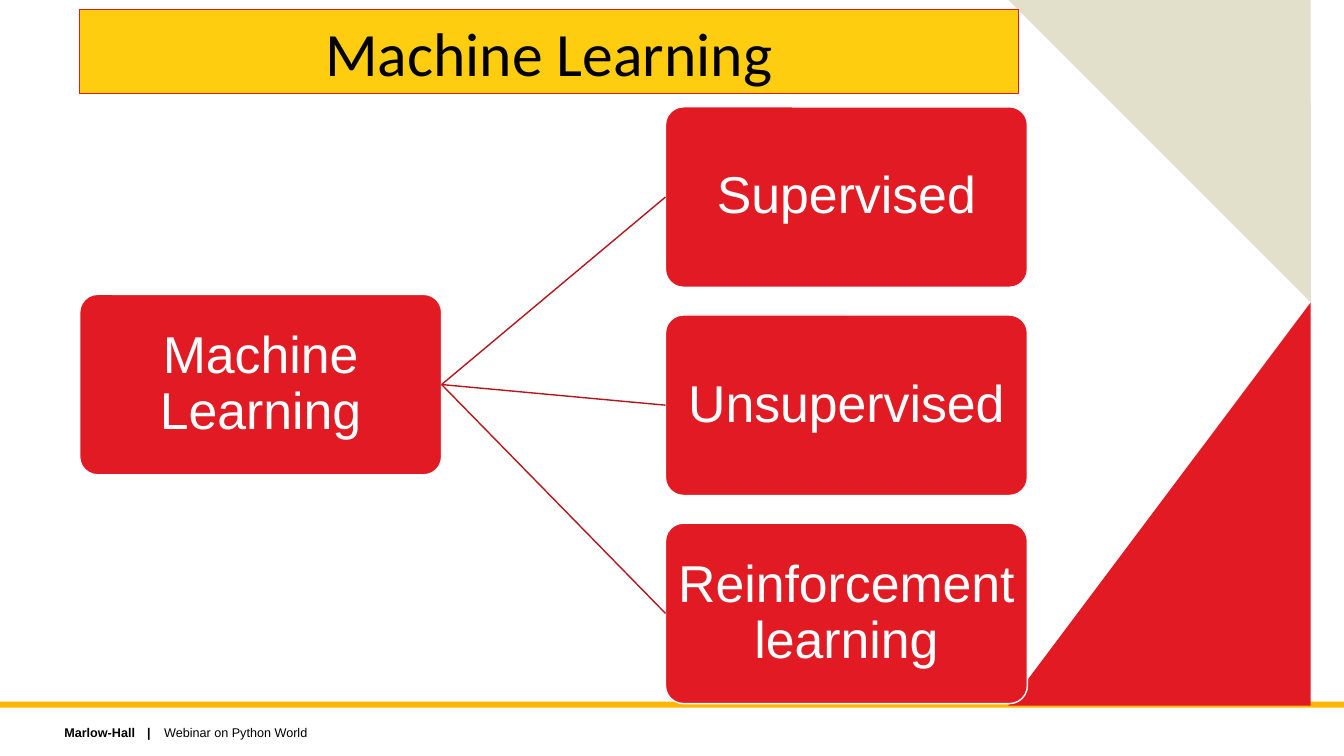
from lxml.etree import SubElement
from pptx import Presentation
from pptx.dml.color import RGBColor
from pptx.enum.shapes import MSO_CONNECTOR, MSO_SHAPE
from pptx.enum.text import MSO_ANCHOR, PP_ALIGN
from pptx.oxml.ns import qn
from pptx.util import Inches, Pt

COLORS = {
    "red": "E21A23", "dark_red": "B5151C", "wine": "9F2241", "sand": "E2DFCA",
    "amber": "FFB600", "yellow": "FFCD0F", "white": "FFFFFF", "black": "000000",
}
WIDTH, HEIGHT = 13.33, 7.5
MARGIN = 0.79
NODE_W, NODE_H = 3.59, 1.79
BRANCH_LEFT, BRANCH_TOP, BRANCH_PITCH = 6.6, 1.06, 2.065
ROOT_TOP = 2.92
RULE_TOP = 6.96


def paint(shape, fill, line=None, weight=1):
    shape.shadow.inherit = False
    shape.fill.solid()
    shape.fill.fore_color.rgb = RGBColor.from_string(COLORS[fill])
    if line:
        shape.line.color.rgb = RGBColor.from_string(COLORS[line])
        shape.line.width = Pt(weight)
    else:
        shape.line.fill.background()


def style(paragraph, font_name, size, color, bold=False):
    paragraph.font.name = font_name
    paragraph.font.size = Pt(size)
    paragraph.font.bold = bold
    paragraph.font.color.rgb = RGBColor.from_string(COLORS[color])


deck = Presentation()
deck.slide_width, deck.slide_height = Inches(WIDTH), Inches(HEIGHT)
slide = deck.slides.add_slide(deck.slide_layouts[5])
shapes = slide.shapes

rule = shapes.add_shape(
    MSO_SHAPE.RECTANGLE, 0, Inches(RULE_TOP), Inches(WIDTH), Inches(0.06))
paint(rule, "amber")

crossing, upper_edge, lower_edge = (12.56, 2.74), (WIDTH, 1.48), (WIDTH, 3.47)
facets = [
    ("wine", [upper_edge, lower_edge, crossing]),
    ("sand", [(9.67, 0), (WIDTH, 0), upper_edge, crossing]),
    ("red", [lower_edge, (WIDTH, RULE_TOP), (9.95, RULE_TOP), crossing]),
]
for color, corners in facets:
    outline = shapes.build_freeform(*corners[0], scale=Inches(1))
    outline.add_line_segments(corners[1:], close=True)
    paint(outline.convert_to_shape(), color)

footers = [
    ("Marlow-Hall\t|", 0.54, 2.27, True, MSO_ANCHOR.TOP),
    ("Webinar on Python World", 1.53, 8, False, MSO_ANCHOR.MIDDLE),
]
for text, left, width, bold, anchor in footers:
    footer = shapes.add_textbox(
        Inches(left), Inches(7.14), Inches(width), Inches(0.25)).text_frame
    footer.word_wrap = True
    footer.vertical_anchor = anchor
    footer.text = text
    line = footer.paragraphs[0]
    if "\t" in text:
        tabs = SubElement(line._p.get_or_add_pPr(), qn("a:tabLst"))
        SubElement(tabs, qn("a:tab"), pos=str(Inches(0.82)), algn="l")
    style(line, "Arial", 9, "black", bold)

branches = ["Supervised", "Unsupervised", "Reinforcement learning"]
placed = [("Machine Learning", MARGIN, ROOT_TOP)]
placed += [(branch, BRANCH_LEFT, BRANCH_TOP + row * BRANCH_PITCH)
           for row, branch in enumerate(branches)]
nodes = []
for label, left, top in placed:
    node = shapes.add_shape(
        MSO_SHAPE.ROUNDED_RECTANGLE,
        Inches(left), Inches(top), Inches(NODE_W), Inches(NODE_H))
    node.adjustments[0] = 0.1
    paint(node, "red", "white")
    frame = node.text_frame
    frame.word_wrap = True
    frame.vertical_anchor = MSO_ANCHOR.MIDDLE
    frame.margin_left = frame.margin_right = Inches(0.03)
    frame.margin_top = frame.margin_bottom = Inches(0.03)
    frame.text = label
    caption = frame.paragraphs[0]
    caption.alignment = PP_ALIGN.CENTER
    caption.line_spacing = 0.9
    style(caption, "Arial", 37, "white")
    nodes.append(node)

root, *children = nodes
for child in children:
    link = shapes.add_connector(MSO_CONNECTOR.STRAIGHT, 0, 0, 0, 0)
    link.begin_connect(root, 3)
    link.end_connect(child, 1)
    link.line.color.rgb = RGBColor.from_string(COLORS["dark_red"])
    link.line.width = Pt(1)
    SubElement(link._element.spPr, qn("a:effectLst"))

title = shapes.title
title.left, title.top = Inches(MARGIN), Inches(0.09)
title.width, title.height = Inches(9.31), Inches(0.84)
title.fill.solid()
title.fill.fore_color.rgb = RGBColor.from_string(COLORS["yellow"])
title.line.color.rgb = RGBColor.from_string(COLORS["red"])
title.line.width = Pt(0.75)
title.text_frame.text = "Machine Learning"
title.text_frame.vertical_anchor = MSO_ANCHOR.MIDDLE
heading = title.text_frame.paragraphs[0]
heading.alignment = PP_ALIGN.CENTER
style(heading, "Calibri", 44, "black")
shapes._spTree.append(title._element)

deck.save("out.pptx")
